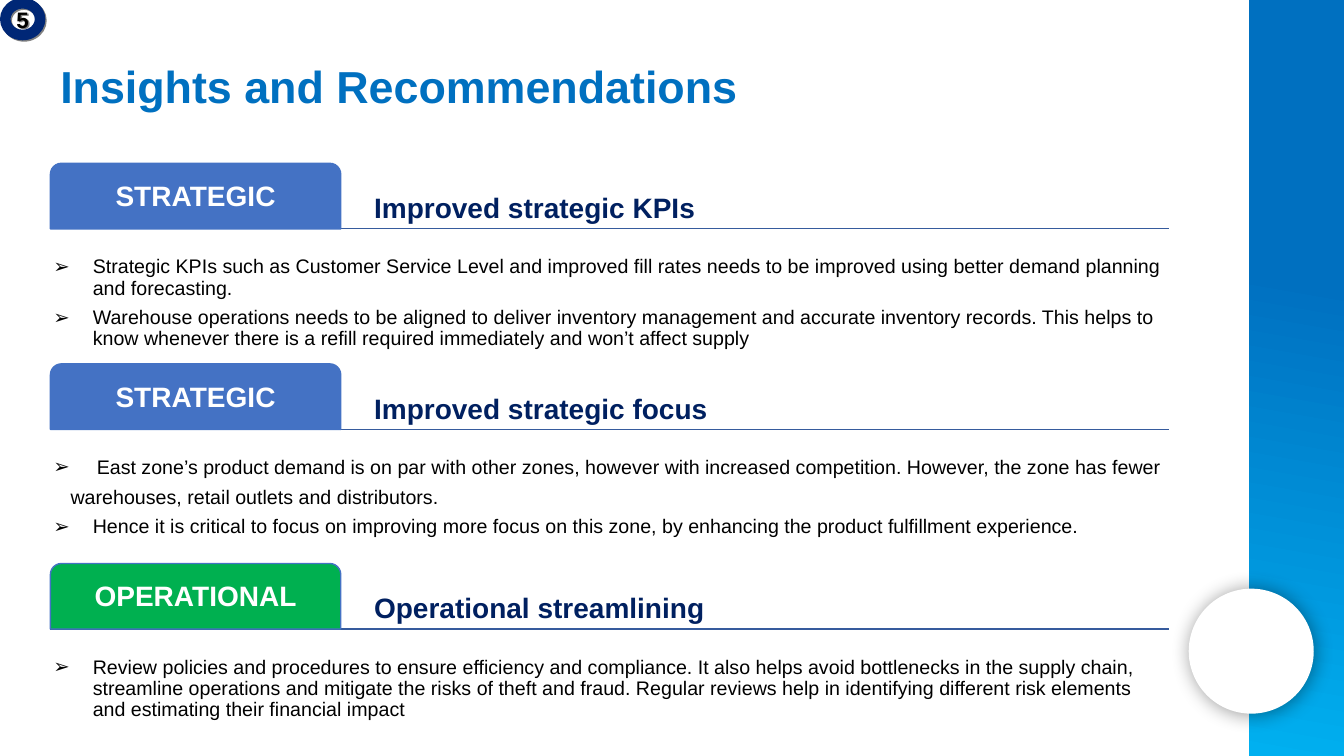
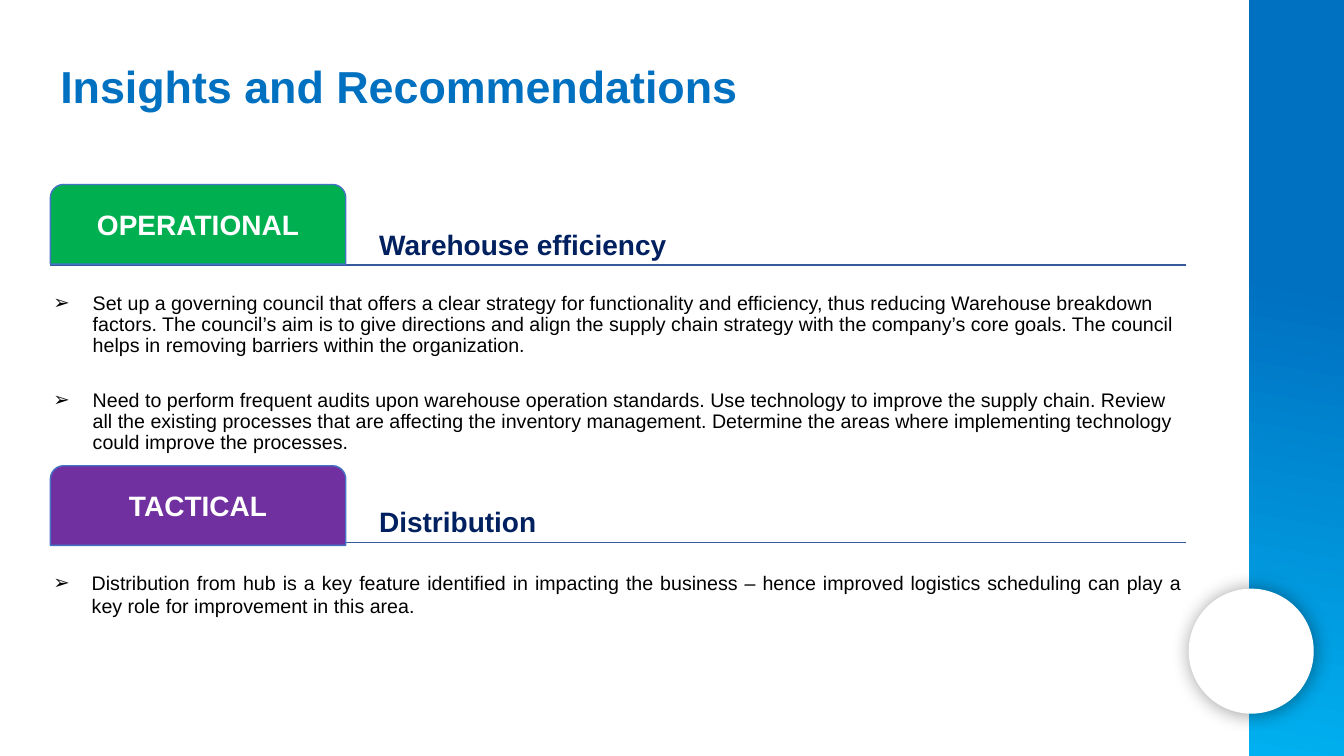
import dataclasses
import pptx
import pptx.dml.color
import pptx.enum.dml
import pptx.enum.shapes
import pptx.enum.text
import pptx.oxml
import pptx.oxml.ns
import pptx.util

Inches, Pt = pptx.util.Inches, pptx.util.Pt
RGB = pptx.dml.color.RGBColor.from_string
SHAPE = pptx.enum.shapes.MSO_SHAPE
ALIGN = pptx.enum.text.PP_ALIGN
ANCHOR = pptx.enum.text.MSO_ANCHOR


@dataclasses.dataclass(frozen=True)
class Theme:
    font: str = "Arial"
    title: str = "0070C0"
    band_end: str = "00B0F0"
    heading: str = "002060"
    rule: str = "365B9D"
    tab_line: str = "4472C4"
    badge: str = "002776"
    white: str = "FFFFFF"
    black: str = "000000"
    title_size: int = 32
    heading_size: int = 20
    badge_size: int = 16
    body_size: int = 14


theme = Theme()
tab_colours = {"STRATEGIC": "4472C4", "OPERATIONAL": "00B050", "TACTICAL": "7030A0"}


def write(frame, text, size=theme.body_size, colour=theme.black, bold=False,
          align=ALIGN.LEFT, anchor=ANCHOR.TOP, inset=0.03, left=None,
          line=0.9, after=0, margin=0, bullet=False):
    """Add one paragraph to a text frame; a bullet hangs by the margin."""
    frame.word_wrap = True
    frame.vertical_anchor = anchor
    frame.margin_top = frame.margin_right = frame.margin_bottom = Inches(inset)
    frame.margin_left = Inches(inset if left is None else left)
    paragraph = frame.add_paragraph() if frame.text else frame.paragraphs[0]
    paragraph.alignment = align
    paragraph.line_spacing = line
    paragraph.space_after = Pt(after)
    run = paragraph.add_run()
    run.text = text
    run.font.name, run.font.size, run.font.bold = theme.font, Pt(size), bold
    run.font.color.rgb = RGB(colour)
    properties = paragraph._p.get_or_add_pPr()
    properties.set("marL", str(Inches(margin)))
    properties.set("indent", str(Inches(-margin if bullet else 0)))
    if bullet:
        namespace = pptx.oxml.ns.nsdecls("a")
        properties.append(pptx.oxml.parse_xml(f'<a:buFont {namespace} typeface="{theme.font}"/>'))
        properties.append(pptx.oxml.parse_xml(f'<a:buChar {namespace} char="➢"/>'))


def set_shadow(shape, colour=None, alpha=100, blur=0, distance=0, angle=0):
    """Replace the inherited shadow; without a colour there is none."""
    shadow = "" if colour is None else (
        f'<a:outerShdw blurRad="{Pt(blur)}" dist="{Pt(distance)}" dir="{angle * 60000}" '
        f'algn="ctr" rotWithShape="0"><a:srgbClr val="{colour}">'
        f'<a:alpha val="{alpha * 1000}"/></a:srgbClr></a:outerShdw>')
    shape.element.spPr.append(pptx.oxml.parse_xml(
        f'<a:effectLst {pptx.oxml.ns.nsdecls("a")}>{shadow}</a:effectLst>'))


# Content: layout measures, then (rule y, heading, tab top, tab label, paragraphs)
bullet = dict(margin=0.39, bullet=True, after=6)
slides = [
    dict(right=11.59, tab_width=2.88, tab_height=0.65, number="5", sections=[
        (2.27, "Improved strategic KPIs", 1.62, "STRATEGIC", [
            ("Strategic KPIs such as Customer Service Level and improved fill rates needs to be "
             "improved using better demand planning and forecasting.", bullet),
            ("Warehouse operations needs to be aligned to deliver inventory management and accurate "
             "inventory records. This helps to know whenever there is a refill required immediately "
             "and won’t affect supply", bullet)]),
        (4.26, "Improved strategic focus", 3.61, "STRATEGIC", [
            ("East zone’s product demand is on par with other zones, however with increased "
             "competition. However, the zone has fewer", bullet | dict(margin=0.43)),
            ("warehouses, retail outlets and distributors.", dict(margin=0.17, after=6)),
            ("Hence it is critical to focus on improving more focus on this zone, by enhancing the "
             "product fulfillment experience.", bullet)]),
        (6.24, "Operational streamlining", 5.59, "OPERATIONAL", [
            ("Review policies and procedures to ensure efficiency and compliance. It also helps avoid "
             "bottlenecks in the supply chain, streamline operations and mitigate the risks of theft "
             "and fraud. Regular reviews help in identifying different risk elements and estimating "
             "their financial impact", bullet)]),
    ]),
    dict(right=11.76, tab_width=2.93, tab_height=0.79, number=None, sections=[
        (2.63, "Warehouse efficiency", 1.83, "OPERATIONAL", [
            ("Set up a governing council that offers a clear strategy for functionality and "
             "efficiency, thus reducing Warehouse breakdown factors. The council’s aim is to give "
             "directions and align the supply chain strategy with the company’s core goals. The "
             "council helps in removing barriers within the organization.", bullet | dict(after=24)),
            ("Need to perform frequent audits upon warehouse operation standards. Use technology to "
             "improve the supply chain. Review all the existing processes that are affecting the "
             "inventory management. Determine the areas where implementing technology could improve "
             "the processes.", bullet)]),
        (5.38, "Distribution", 4.62, "TACTICAL", [
            ("Distribution from hub is a key feature identified in impacting the business – hence "
             "improved logistics scheduling can play a key role for improvement in this area.",
             bullet | dict(margin=0.38, align=ALIGN.JUSTIFY, line=1.0))]),
    ]),
]
left = 0.5
body_gap = 0.25

deck = pptx.Presentation()
deck.slide_width, deck.slide_height = Inches(13.33), Inches(7.5)
blank = deck.slide_layouts[6]
pages = [deck.slides.add_slide(blank) for _ in slides]

# Shared side band and disc, drawn once and moved to the layout
band = pages[0].shapes.add_shape(SHAPE.RECTANGLE, Inches(12.39), 0, Inches(0.94), Inches(7.5))
band.fill.gradient()
band.fill.gradient_angle = 260
for stop, (position, colour) in zip(band.fill.gradient_stops,
                                    [(0.37, theme.title), (1, theme.band_end)]):
    stop.position, stop.color.rgb = position, RGB(colour)
disc = pages[0].shapes.add_shape(SHAPE.OVAL, Inches(11.79), Inches(5.84), Inches(1.24), Inches(1.24))
disc.fill.solid()
disc.fill.fore_color.rgb = RGB(theme.white)
for decoration in (band, disc):
    decoration.line.fill.background()
    blank.shapes.element.append(decoration.element)
set_shadow(band)
set_shadow(disc, theme.black, alpha=40, blur=14, distance=1, angle=43)

for page, content in zip(pages, slides):
    shapes = page.shapes
    right, tab_width, tab_height = content["right"], content["tab_width"], content["tab_height"]

    # Title
    title = shapes.add_textbox(Inches(left), Inches(0.53), Inches(10.66), Inches(0.64))
    write(title.text_frame, "Insights and Recommendations", size=theme.title_size,
          colour=theme.title, bold=True, inset=0.05, left=0.1, line=1.0)

    for rule_y, heading_text, tab_top, label, paragraphs in content["sections"]:
        # Rule
        rule = shapes.add_connector(pptx.enum.shapes.MSO_CONNECTOR.STRAIGHT,
                                    Inches(left), Inches(rule_y), Inches(right), Inches(rule_y))
        rule.line.color.rgb, rule.line.width = RGB(theme.rule), Pt(1)
        set_shadow(rule)

        # Heading
        heading_left = left + tab_width
        heading = shapes.add_textbox(Inches(heading_left), Inches(rule_y - tab_height),
                                     Inches(right - heading_left), Inches(tab_height))
        write(heading.text_frame, heading_text, size=theme.heading_size, colour=theme.heading,
              bold=True, anchor=ANCHOR.BOTTOM, inset=0.04, left=0.33)

        # Category tab
        tab = shapes.add_shape(SHAPE.ROUND_2_SAME_RECTANGLE, Inches(left), Inches(tab_top),
                               Inches(tab_width), Inches(tab_height))
        tab.shadow.inherit = False
        tab.fill.solid()
        tab.fill.fore_color.rgb = RGB(tab_colours[label])
        tab.line.color.rgb, tab.line.width = RGB(theme.tab_line), Pt(1)
        write(tab.text_frame, label, size=theme.heading_size, colour=theme.white, bold=True,
              align=ALIGN.CENTER, anchor=ANCHOR.MIDDLE, inset=0.04)

        # Recommendations
        body = shapes.add_textbox(Inches(left), Inches(rule_y + body_gap),
                                  Inches(right - left), Inches(1))
        for text, style in paragraphs:
            write(body.text_frame, text, **style)

    # Number badge
    if content["number"]:
        badge = shapes.add_shape(SHAPE.DONUT, 0, Inches(-0.02), Inches(0.45), Inches(0.42))
        badge.fill.solid()
        badge.fill.fore_color.rgb = RGB(theme.badge)
        badge.line.fill.background()
        set_shadow(badge, "808080", distance=1.4, angle=45)
        write(badge.text_frame, content["number"], size=theme.badge_size, bold=True,
              align=ALIGN.CENTER, anchor=ANCHOR.MIDDLE, inset=0, line=1.0)

deck.save("out.pptx")
